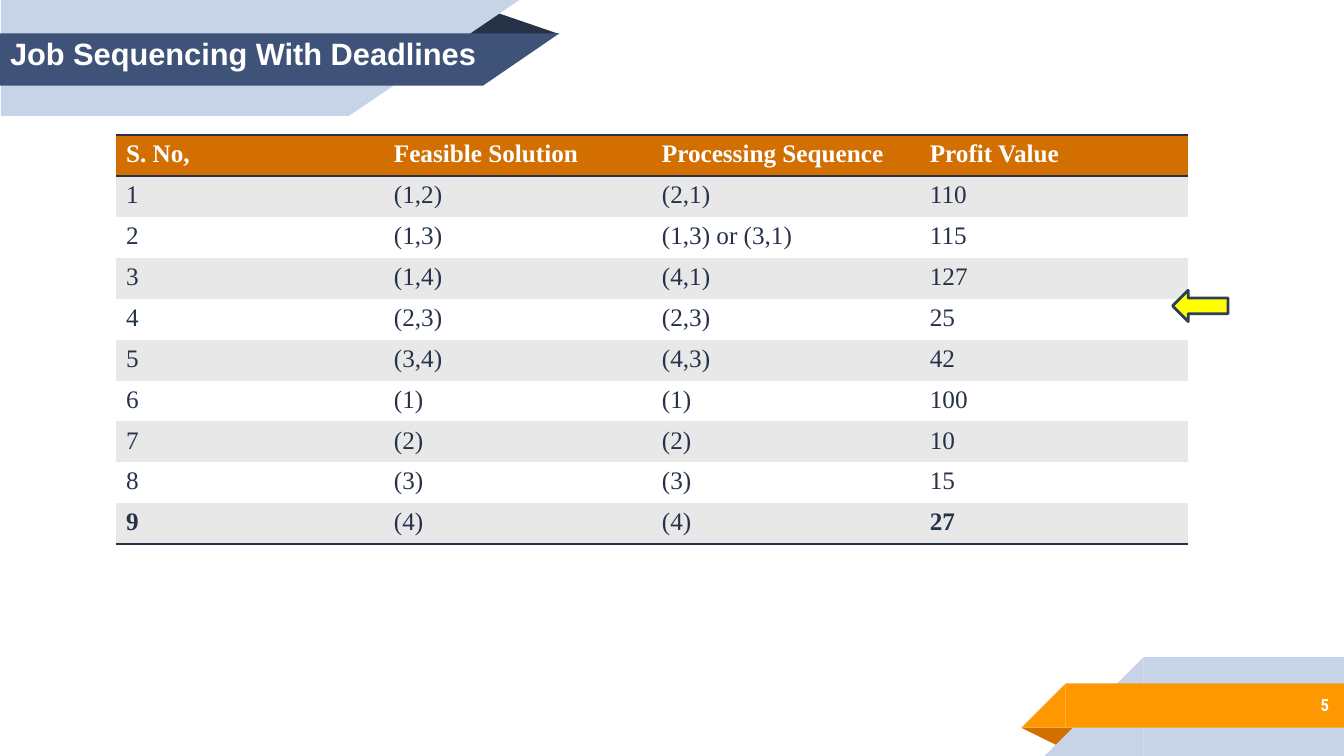
import pptx
import pptx.util
import pptx.dml.color
import pptx.enum.shapes
import pptx.enum.text
import pptx.oxml
import pptx.oxml.ns

Inches = pptx.util.Inches
Shape = pptx.enum.shapes.MSO_SHAPE
Anchor = pptx.enum.text.MSO_ANCHOR
Align = pptx.enum.text.PP_ALIGN

COLORS = {
    "ink": "263248",
    "navy": "3F5378",
    "outline": "2F3D59",
    "mist": "C7D3E6",
    "orange": "FF9800",
    "rust": "D26F00",
    "band": "E8E8E9",
    "yellow": "FFFF00",
    "white": "FFFFFF",
}
PLAIN_TABLE = "{2D5ABB26-0587-4C30-8999-92F81FD0307C}"

HEADER = ["S. No,", "Feasible Solution", "Processing Sequence", "Profit Value"]
SOLUTIONS = [
    ["1", "(1,2)", "(2,1)", "110"],
    ["2", "(1,3)", "(1,3) or (3,1)", "115"],
    ["3", "(1,4)", "(4,1)", "127"],
    ["4", "(2,3)", "(2,3)", "25"],
    ["5", "(3,4)", "(4,3)", "42"],
    ["6", "(1)", "(1)", "100"],
    ["7", "(2)", "(2)", "10"],
    ["8", "(3)", "(3)", "15"],
    ["9", "(4)", "(4)", "27"],
]


def color(name):
    return pptx.dml.color.RGBColor.from_string(COLORS[name])


def write(frame, text, font="Arial", size=18, fill="ink", bold=False, align=Align.LEFT):
    para = frame.paragraphs[0]
    para.alignment = align
    span = para.add_run()
    span.text = text
    span.font.name = font
    span.font.size = pptx.util.Pt(size)
    span.font.bold = bold
    span.font.color.rgb = color(fill)


class SlideBuilder:
    def __init__(self, deck):
        self.page = deck.slides.add_slide(deck.slide_layouts[5])

    def shape(self, kind, left, top, width, height, fill, line=None,
              rotation=0, flip=False, adjust=None):
        box = self.page.shapes.add_shape(
            kind, Inches(left), Inches(top), Inches(width), Inches(height))
        box.shadow.inherit = False
        box.fill.solid()
        box.fill.fore_color.rgb = color(fill)
        if line:
            box.line.color.rgb = color(line)
            box.line.width = pptx.util.Pt(2)
        else:
            box.line.fill.background()
        box.rotation = rotation
        if flip:
            box._element.spPr.xfrm.set("flipH", "1")
        if adjust is not None:
            box.adjustments[0] = adjust

    def title(self, text, left, top, width, height):
        box = self.page.shapes.title
        box.left, box.top = Inches(left), Inches(top)
        box.width, box.height = Inches(width), Inches(height)
        frame = box.text_frame
        frame.word_wrap = True
        frame.auto_size = pptx.enum.text.MSO_AUTO_SIZE.NONE
        frame.vertical_anchor = Anchor.TOP
        write(frame, text, size=22, fill="white", bold=True)
        box._element.getparent().append(box._element)

    def page_number(self, text, left, top, width, height):
        box = self.page.shapes.add_textbox(
            Inches(left), Inches(top), Inches(width), Inches(height))
        frame = box.text_frame
        frame.word_wrap = True
        frame.vertical_anchor = Anchor.MIDDLE
        frame.margin_left = frame.margin_right = Inches(0.1)
        frame.margin_top = frame.margin_bottom = Inches(0.1)
        write(frame, text, font="Roboto Condensed", size=12, fill="white",
              bold=True, align=Align.RIGHT)

    def border(self, cell, side):
        line = pptx.oxml.parse_xml(
            f'<a:{side} {pptx.oxml.ns.nsdecls("a")} w="{pptx.util.Pt(2)}"><a:solidFill>'
            f'<a:srgbClr val="{COLORS["ink"]}"/></a:solidFill></a:{side}>')
        cell._tc.get_or_add_tcPr().insert(0, line)

    def table(self, rows, left, top, width, row_height):
        last = len(rows) - 1
        grid = self.page.shapes.add_table(
            len(rows), len(rows[0]), Inches(left), Inches(top),
            Inches(width), Inches(row_height * len(rows))).table
        grid._tbl.tblPr.find(pptx.oxml.ns.qn("a:tableStyleId")).text = PLAIN_TABLE
        for r, row in enumerate(rows):
            for c, text in enumerate(row):
                cell = grid.cell(r, c)
                header = r == 0
                emphasis = header or (r == last and c in (0, len(row) - 1))
                cell.fill.solid()
                cell.fill.fore_color.rgb = color(
                    "rust" if header else "band" if r % 2 else "white")
                write(cell.text_frame, text, font="Times New Roman",
                      fill="white" if header else "ink", bold=emphasis)
                if r in (0, last):
                    self.border(cell, "lnB")
                if header:
                    self.border(cell, "lnT")


def main():
    deck = pptx.Presentation()
    deck.slide_width, deck.slide_height = Inches(13.33), Inches(7.5)
    slide = SlideBuilder(deck)

    slide.shape(Shape.ISOSCELES_TRIANGLE, 4.56, 0.11, 0.99, 0.23, "ink", adjust=0.324)
    for left, top, width, slant, height, fill in [
        (0.01, 0, 3.45, 1.69, 1.15, "mist"),
        (0, 0.33, 4.79, 0.76, 0.52, "navy"),
    ]:
        slide.shape(Shape.RECTANGLE, left, top, width, height, fill)
        slide.shape(Shape.RIGHT_TRIANGLE, left + width, top, slant, height, fill,
                    rotation=180, flip=True)

    slide.shape(Shape.ISOSCELES_TRIANGLE, 10.13, 7.22, 0.57, 0.19, "rust",
                rotation=180, adjust=0.324)
    for left, top, size, fill in [
        (10.36, 6.52, 0.98, "mist"),
        (10.13, 6.78, 0.44, "orange"),
    ]:
        slide.shape(Shape.RECTANGLE, left + size, top, 13.33 - left - size, size, fill)
        slide.shape(Shape.RIGHT_TRIANGLE, left, top, size, size, fill, flip=True)

    slide.page_number("5", 11.11, 6.76, 2.17, 0.46)
    slide.title("Job Sequencing With Deadlines", 0, 0.29, 9.66, 1.05)
    slide.table([HEADER] + SOLUTIONS, 1.15, 1.34, 10.63, 0.406)
    slide.shape(Shape.LEFT_ARROW, 11.63, 2.88, 0.55, 0.31, "yellow", line="outline")

    deck.save("out.pptx")


if __name__ == "__main__":
    main()
